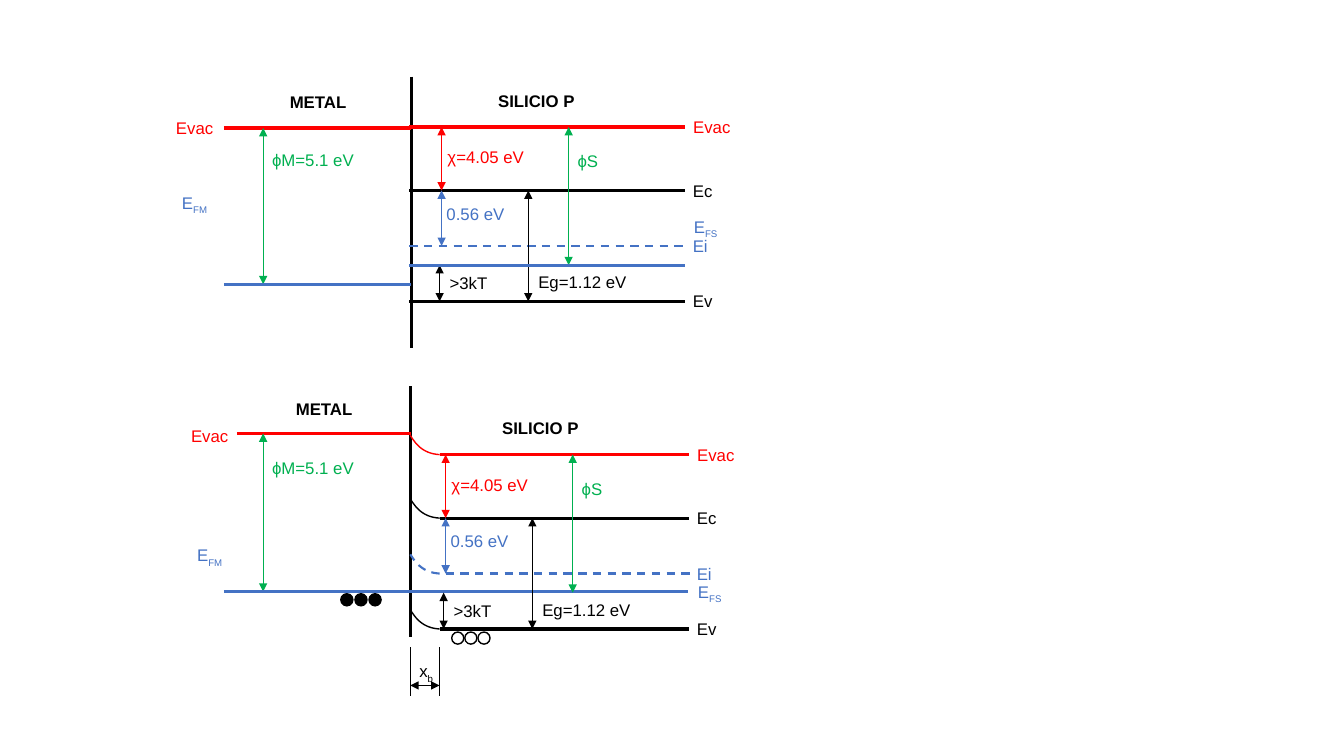
import pptx
import pptx.dml.color
import pptx.enum.dml
import pptx.enum.shapes
import pptx.enum.text
import pptx.oxml
import pptx.oxml.ns
import pptx.util

COLUMNS, ROWS = 1333, 750
CELL = pptx.util.Inches(0.01)
BLACK, RED, BLUE, GREEN = "000000", "FF0000", "4472C4", "00B050"
LEFT, CENTER = pptx.enum.text.PP_ALIGN.LEFT, pptx.enum.text.PP_ALIGN.CENTER
THICK, MEDIUM, CURVE, THIN = 2.25, 1.5, 1, 0.5


def grid(*cells):
    """Turn grid columns or rows into slide lengths."""
    return [pptx.util.Emu(round(c * CELL)) for c in cells]


def rgb(color):
    """Return the colour for a hex string."""
    return pptx.dml.color.RGBColor.from_string(color)


def apply(target, values):
    """Set each format value on the target."""
    for name, value in values.items():
        setattr(target, name, value)


def stroke(line, color, weight, dashed=False):
    """Style an outline."""
    line.color.rgb = rgb(color)
    line.width = pptx.util.Pt(weight)
    if dashed:
        line.dash_style = pptx.enum.dml.MSO_LINE.DASH


def add_line(s, x1, y1, x2, y2, color, weight=THICK, dashed=False):
    """Draw a straight line."""
    sp = s.shapes.add_connector(pptx.enum.shapes.MSO_CONNECTOR.STRAIGHT, *grid(x1, y1, x2, y2))
    stroke(sp.line, color, weight, dashed)
    pptx.oxml.ns.qn("a:effectLst")
    sp._element.spPr.append(pptx.oxml.parse_xml(f"<a:effectLst {pptx.oxml.ns.nsdecls('a')}/>"))
    return sp


def add_arrow(s, x1, y1, x2, y2, color):
    """Draw a thin double-headed arrow."""
    sp = add_line(s, x1, y1, x2, y2, color, THIN)
    for end in ("headEnd", "tailEnd"):
        xml = f'<a:{end} {pptx.oxml.ns.nsdecls("a")} type="triangle"/>'
        sp.line._get_or_add_ln().append(pptx.oxml.parse_xml(xml))


def add_label(s, x, y, width, text, color, align=CENTER, bold=False):
    """Write a label; an underscore starts its subscript."""
    tf = s.shapes.add_textbox(*grid(x, y, width, 30)).text_frame
    apply(tf, {"word_wrap": False, "auto_size": pptx.enum.text.MSO_AUTO_SIZE.SHAPE_TO_FIT_TEXT})
    p = tf.paragraphs[0]
    p.alignment = align
    for i, part in enumerate(text.split("_")):
        r = p.add_run()
        r.text = part
        apply(r.font, {"name": "Arial", "size": pptx.util.Pt(12), "bold": bold})
        r.font.color.rgb = rgb(color)
        if i:
            r._r.get_or_add_rPr().set("baseline", "-25000")


def add_bend(s, y, color, weight=CURVE, dashed=False):
    """Bend a band from its flat level y up to the junction."""
    knots = ((436, y), (419, y - 1), (412, y - 11), (407, y - 19))
    points = []
    for step in range(17):
        t = step / 16
        shares = ((1 - t) ** 3, 3 * t * (1 - t) ** 2, 3 * t * t * (1 - t), t ** 3)
        points.append(grid(*(sum(k * c for k, c in zip(shares, axis)) for axis in zip(*knots))))
    builder = s.shapes.build_freeform(*points[0])
    builder.add_line_segments(points[1:], close=False)
    sp = builder.convert_to_shape()
    sp.shadow.inherit = False
    sp.fill.background()
    stroke(sp.line, color, weight, dashed)


def add_carriers(s, x, y, pitch, filled):
    """Draw a row of three charge carriers."""
    for i in range(3):
        sp = s.shapes.add_shape(pptx.enum.shapes.MSO_SHAPE.OVAL, *grid(x + i * pitch, y, 12, 12))
        sp.shadow.inherit = False
        if filled:
            sp.fill.solid()
            sp.fill.fore_color.rgb = rgb(BLACK)
        else:
            sp.fill.background()
        stroke(sp.line, BLACK, 1)


def add_metal(s, title_x, top, label_x, start, vacuum, fermi, fermi_label):
    """Draw the metal side of a band diagram."""
    add_line(s, start, vacuum, 408, vacuum, RED)
    add_label(s, title_x, top, 77, "METAL", BLACK, bold=True)
    add_label(s, label_x, top + 26, 58, "Evac", RED)
    add_label(s, label_x + 5, fermi_label, 48, "E_FM", BLUE)
    add_arrow(s, 261, vacuum, 261, fermi, GREEN)
    add_label(s, 260, top + 58, 102, "ϕM=5.1 eV", GREEN, LEFT)


def add_silicon(s, dx, dy, start, shift, fermi_label):
    """Draw the silicon side, with the dashed level moved by shift."""
    end = 679 + dx
    vacuum, conduction, intrinsic, fermi, valence = (y + dy for y in (126, 189, 244, 263, 299))
    for y, color in ((vacuum, RED), (conduction, BLACK), (valence, BLACK)):
        add_line(s, start, y, end, y, color)
    add_line(s, start + shift, intrinsic, end + shift, intrinsic, BLUE, MEDIUM, True)
    for x, y1, y2, color in (
        (438, vacuum, conduction, RED), (436, fermi, valence, BLACK),
        (438, conduction, intrinsic, BLUE), (524, conduction, valence, BLACK),
        (564, vacuum, fermi, GREEN),
    ):
        add_arrow(s, x + dx, y1, x + dx, y2, color)
    for x, y, width, text, color in (
        (434, 141, 97, "χ=4.05 eV", RED), (436, 266, 58, ">3kT", BLACK),
        (433, 197, 78, "0.56 eV", BLUE), (524, 265, 108, "Eg=1.12 eV", BLACK),
        (563, 145, 41, "ϕS", GREEN),
    ):
        add_label(s, x + dx, y + dy, width, text, color, LEFT)
    for y, width, text, color in (
        (vacuum, 58, "Evac", RED), (conduction, 40, "Ec", BLACK),
        (intrinsic, 35, "Ei", BLUE), (valence, 40, "Ev", BLACK),
    ):
        add_label(s, 677 + dx, y - 15, width, text, color)
    add_label(s, 677 + dx, fermi_label, 46, "E_FS", BLUE)
    add_label(s, 483 + dx, 85 + dy, 98, "SILICIO P", BLACK, bold=True)


def add_depletion_width(s):
    """Dimension the bent region under the junction."""
    for x in (407, 436):
        add_line(s, x, 642, x, 690, BLACK, THIN)
    add_arrow(s, 407, 680, 436, 680, BLACK)
    add_label(s, 406, 651, 35, "x_b", BLACK, LEFT)


def main():
    """Build the slide with the separate and the joined band diagrams."""
    prs = pptx.Presentation()
    apply(prs, dict(zip(("slide_width", "slide_height"), grid(COLUMNS, ROWS))))
    s = prs.slides.add_slide(prs.slide_layouts[6])

    add_line(s, 408, 76, 408, 345, BLACK)
    add_metal(s, 277, 86, 164, 222, 127, 282, 186)
    add_line(s, 222, 282, 408, 282, BLUE)
    add_silicon(s, 0, 0, 406, 0, 210)
    add_line(s, 406, 263, 679, 263, BLUE)

    add_line(s, 407, 383, 407, 632, BLACK)
    add_metal(s, 283, 391, 179, 235, 430, 587, 536)
    for y, color in ((451, RED), (514, BLACK), (624, BLACK)):
        add_bend(s, y, color)
    add_bend(s, 569, BLUE, MEDIUM, True)
    add_line(s, 222, 587, 682, 587, BLUE)
    add_silicon(s, 4, 325, 436, 6, 572)
    add_carriers(s, 338, 589, 14, True)
    add_carriers(s, 448, 627, 13, False)
    add_depletion_width(s)
    prs.save("out.pptx")


if __name__ == "__main__":
    main()
